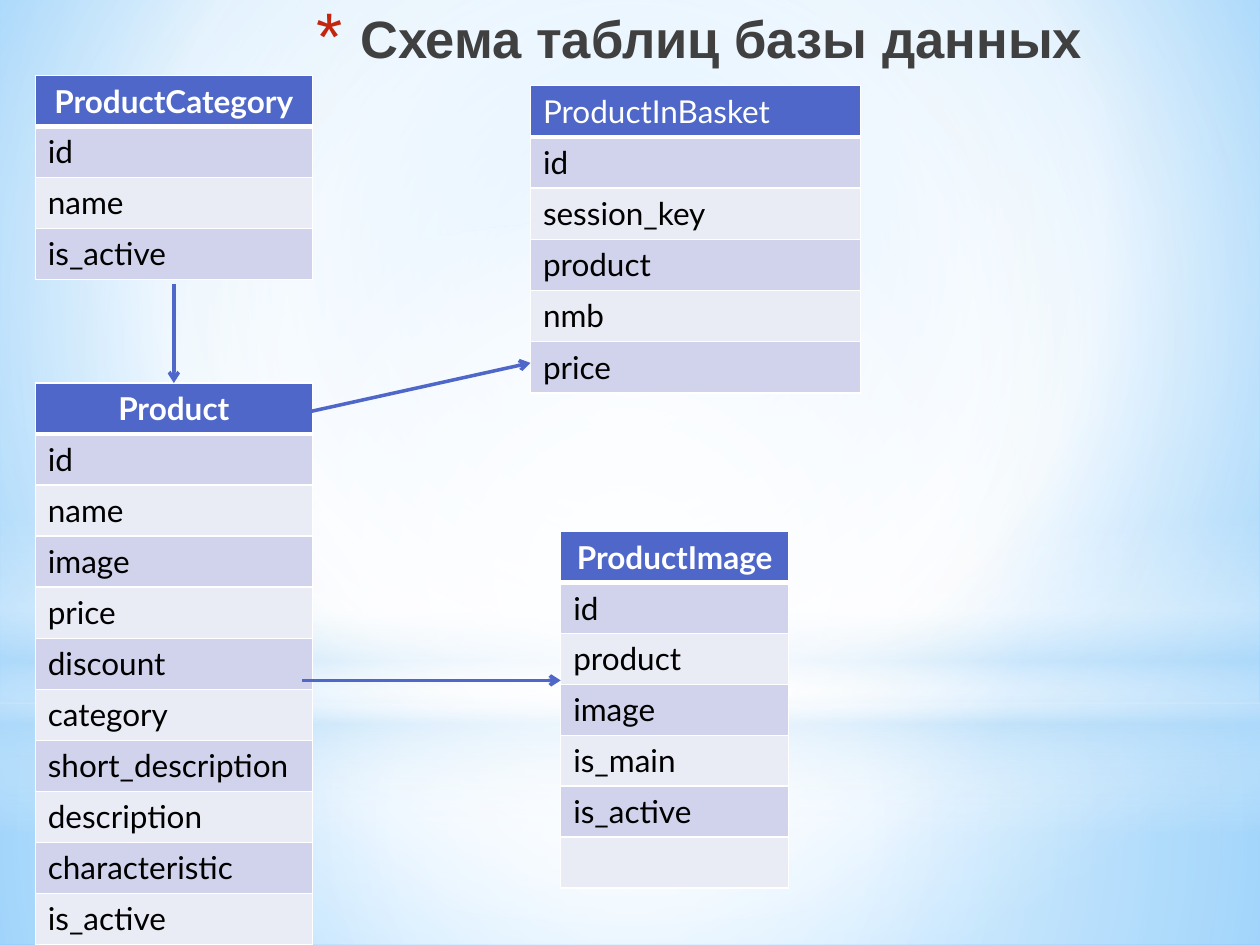
from dataclasses import dataclass

from lxml.etree import SubElement
from pptx import Presentation
from pptx.dml.color import RGBColor
from pptx.enum.shapes import MSO_CONNECTOR, MSO_SHAPE
from pptx.enum.text import MSO_ANCHOR, PP_ALIGN
from pptx.oxml.ns import qn
from pptx.util import Inches, Pt


@dataclass(frozen=True)
class Theme:
    accent: str = "4E67C8"
    bands: tuple = ("D0D3EB", "E9EBF5")
    white: str = "FFFFFF"
    ink: str = "000000"
    title: str = "404040"
    bullet: str = "C3260C"
    haze: str = "B4DCFA"
    title_font: str = "Arial"
    table_font: str = "Lato"
    title_size: int = 30
    table_size: int = 18
    line_width: int = 2


@dataclass(frozen=True)
class Gradient:
    """Stops are (position, colour, opacity) in percent; focus is None for a vertical one."""
    stops: tuple
    focus: tuple | None = (50, 50, 50, 50)


@dataclass(frozen=True)
class Glow:
    outline: MSO_SHAPE
    top: float
    height: float
    gradient: Gradient


@dataclass(frozen=True)
class Entity:
    name: str
    fields: tuple
    box: tuple
    header: dict


@dataclass(frozen=True)
class Relation:
    start: tuple
    end: tuple
    target: str = ""


THEME = Theme()
CENTERED = {"bold": True, "align": PP_ALIGN.CENTER}
PLAIN = {"bold": False, "align": PP_ALIGN.LEFT}

BACKDROP = Gradient(((0, "9ED5FF", 100), (60, THEME.white, 100), (100, "5BB9FF", 100)),
                    (20, 10, 20, 60))
GLOWS = (
    Glow(MSO_SHAPE.RECTANGLE, 5.58, 1.92, Gradient(
        ((0, THEME.white, 91), (37, THEME.white, 76), (100, THEME.haze, 79)))),
    Glow(MSO_SHAPE.RECTANGLE, 0, 5.58, Gradient(
        ((0, THEME.white, 89), (48, THEME.white, 62), (100, THEME.haze, 79)))),
    Glow(MSO_SHAPE.RECTANGLE, 4.12, 2.5, Gradient(
        ((0, THEME.white, 0), (29, THEME.white, 30), (45, THEME.haze, 40),
         (55, THEME.white, 26), (65, THEME.haze, 60), (100, THEME.white, 0)), None)),
    Glow(MSO_SHAPE.OVAL, 1.75, 5.58, Gradient(
        ((0, THEME.white, 100), (56, THEME.white, 0)))),
)
ENTITIES = (
    Entity("Product",
           ("id", "name", "image", "price", "discount", "category", "short_description",
            "description", "characteristic", "is_active"),
           (0.28, 3.04, 2.2, 4.46), CENTERED),
    Entity("ProductImage", ("id", "product", "image", "is_main", "is_active", ""),
           (4.45, 4.22, 1.81, 2.83), CENTERED),
    Entity("ProductCategory", ("id", "name", "is_active"),
           (0.28, 0.6, 2.2, 1.62), CENTERED),
    Entity("ProductInBasket", ("id", "session_key", "product", "nmb", "price"),
           (4.21, 0.68, 2.62, 2.44), PLAIN),
)
RELATIONS = (
    Relation((1.38, 2.25), (1.38, 3.04), "Product"),
    Relation((2.4, 5.4), (4.45, 5.4)),
    Relation((2.4, 3.28), (4.21, 2.88)),
)


def rgb(value: str) -> RGBColor:
    return RGBColor.from_string(value)


def add_node(parent, tag: str, **attributes):
    return SubElement(parent, qn(tag), {key: str(value) for key, value in attributes.items()})


def paint_gradient(element, gradient: Gradient) -> None:
    """Rewrite the gradient fill that the element already holds."""
    fill = next(element.iter(qn("a:gradFill")))
    for child in list(fill):
        fill.remove(child)
    stops = add_node(fill, "a:gsLst")
    for position, color, opacity in gradient.stops:
        stop = add_node(stops, "a:gs", pos=position * 1000)
        add_node(add_node(stop, "a:srgbClr", val=color), "a:alpha", val=opacity * 1000)
    if gradient.focus is None:
        add_node(fill, "a:lin", ang=90 * 60000, scaled=0)
    else:
        sides = {side: share * 1000 for side, share in zip("ltrb", gradient.focus)}
        add_node(add_node(fill, "a:path", **{"path": "circle"}), "a:fillToRect", **sides)


def draw_glow(page, glow: Glow) -> None:
    shape = page.shapes.add_shape(glow.outline, 0, Inches(glow.top), Inches(10), Inches(glow.height))
    shape.shadow.inherit = False
    shape.line.fill.background()
    shape.fill.gradient()
    paint_gradient(shape.element, glow.gradient)


def write(para, text: str, color: str, align=PP_ALIGN.LEFT, **formats) -> None:
    para.alignment = align
    if not text:
        return
    span = para.add_run()
    span.text = text
    span.font.color.rgb = rgb(color)
    for name, value in formats.items():
        setattr(span.font, name, value)


def draw_title(page, text: str) -> None:
    box = page.shapes.add_textbox(Inches(1.14), 0, Inches(8.82), Inches(1.07))
    box.text_frame.word_wrap = True
    box.text_frame.vertical_anchor = MSO_ANCHOR.TOP
    para = box.text_frame.paragraphs[0]
    write(para, text, THEME.title, name=THEME.title_font, size=Pt(THEME.title_size), **CENTERED)
    properties = para._p.get_or_add_pPr()
    properties.set("marL", str(Inches(0.35)))
    properties.set("indent", str(Inches(-0.35)))
    add_node(add_node(properties, "a:buClr"), "a:srgbClr", val=THEME.bullet)
    add_node(properties, "a:buSzPct", val=128000)
    add_node(properties, "a:buFont", typeface=THEME.title_font)
    add_node(properties, "a:buChar", char="*")


def style_cell(cell, fill: str, bottom_width: int) -> None:
    properties = cell._tc.get_or_add_tcPr()
    for side, width in {"L": 1, "R": 1, "T": 1, "B": bottom_width}.items():
        border = add_node(properties, f"a:ln{side}", w=Pt(width))
        add_node(add_node(border, "a:solidFill"), "a:srgbClr", val=THEME.white)
    cell.fill.solid()
    cell.fill.fore_color.rgb = rgb(fill)


def draw_entity(page, entity: Entity):
    frame = page.shapes.add_table(len(entity.fields) + 1, 1, *map(Inches, entity.box))
    for index, text in enumerate((entity.name, *entity.fields)):
        is_header = index == 0
        cell = frame.table.cell(index, 0)
        style_cell(cell, THEME.accent if is_header else THEME.bands[(index - 1) % 2],
                   3 if is_header else 1)
        write(cell.text_frame.paragraphs[0], text, THEME.white if is_header else THEME.ink,
              name=THEME.table_font, size=Pt(THEME.table_size),
              **(entity.header if is_header else PLAIN))
    return frame


def draw_relation(page, relation: Relation, frames: dict) -> None:
    arrow = page.shapes.add_connector(MSO_CONNECTOR.STRAIGHT,
                                      *map(Inches, relation.start + relation.end))
    if relation.target:
        arrow.end_connect(frames[relation.target], 0)
    arrow.line.width = Pt(THEME.line_width)
    arrow.line.color.rgb = rgb(THEME.accent)
    add_node(arrow.line._get_or_add_ln(), "a:tailEnd", type="arrow")
    add_node(arrow.element.spPr, "a:effectLst")


def main() -> None:
    deck = Presentation()
    deck.slide_width, deck.slide_height = Inches(10), Inches(7.5)
    page = deck.slides.add_slide(deck.slide_layouts[6])
    page.background.fill.gradient()
    paint_gradient(page.element, BACKDROP)
    for glow in GLOWS:
        draw_glow(page, glow)
    draw_title(page, "Схема таблиц базы данных")
    frames = {entity.name: draw_entity(page, entity) for entity in ENTITIES}
    for relation in RELATIONS:
        draw_relation(page, relation, frames)
    deck.save("out.pptx")


if __name__ == "__main__":
    main()
